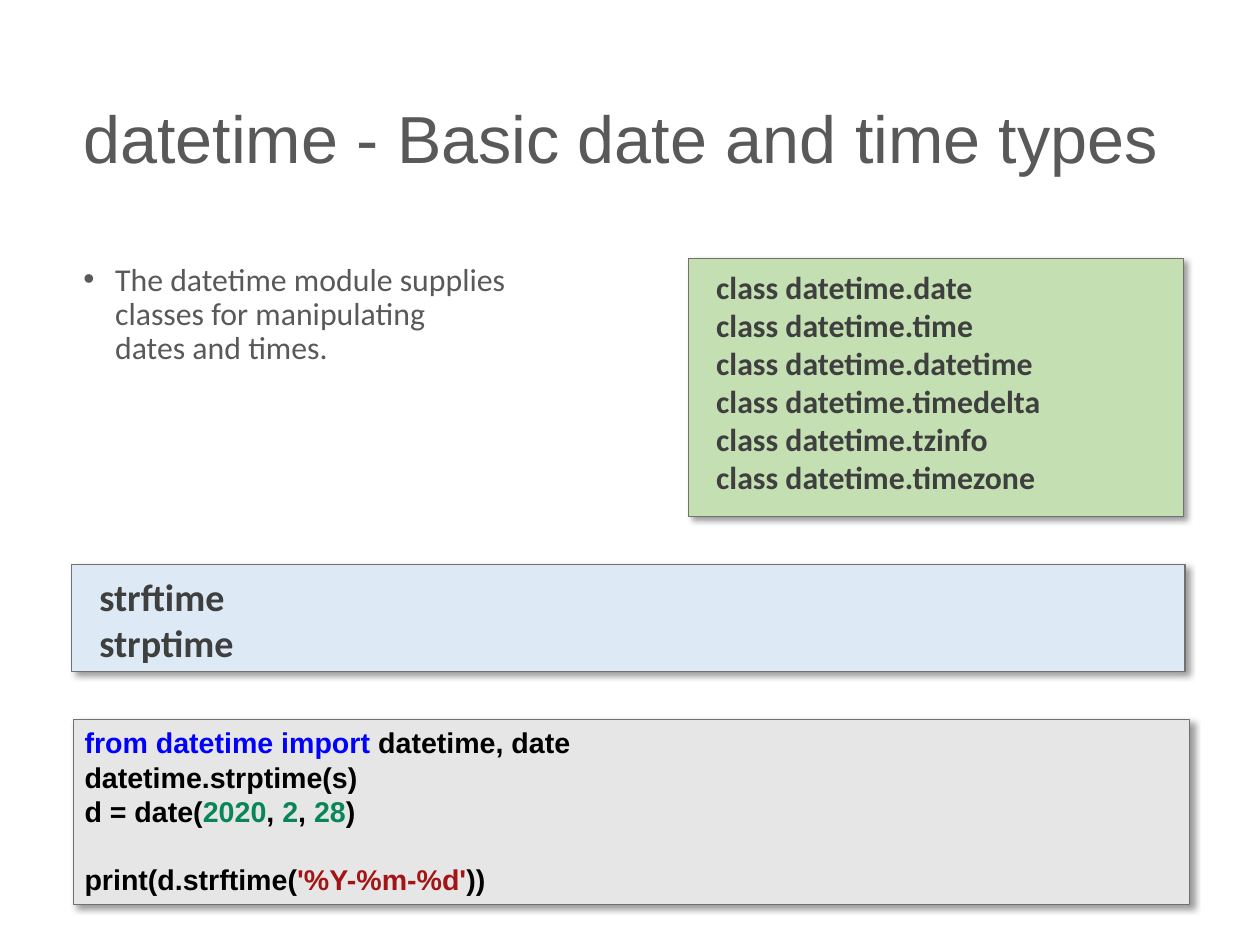
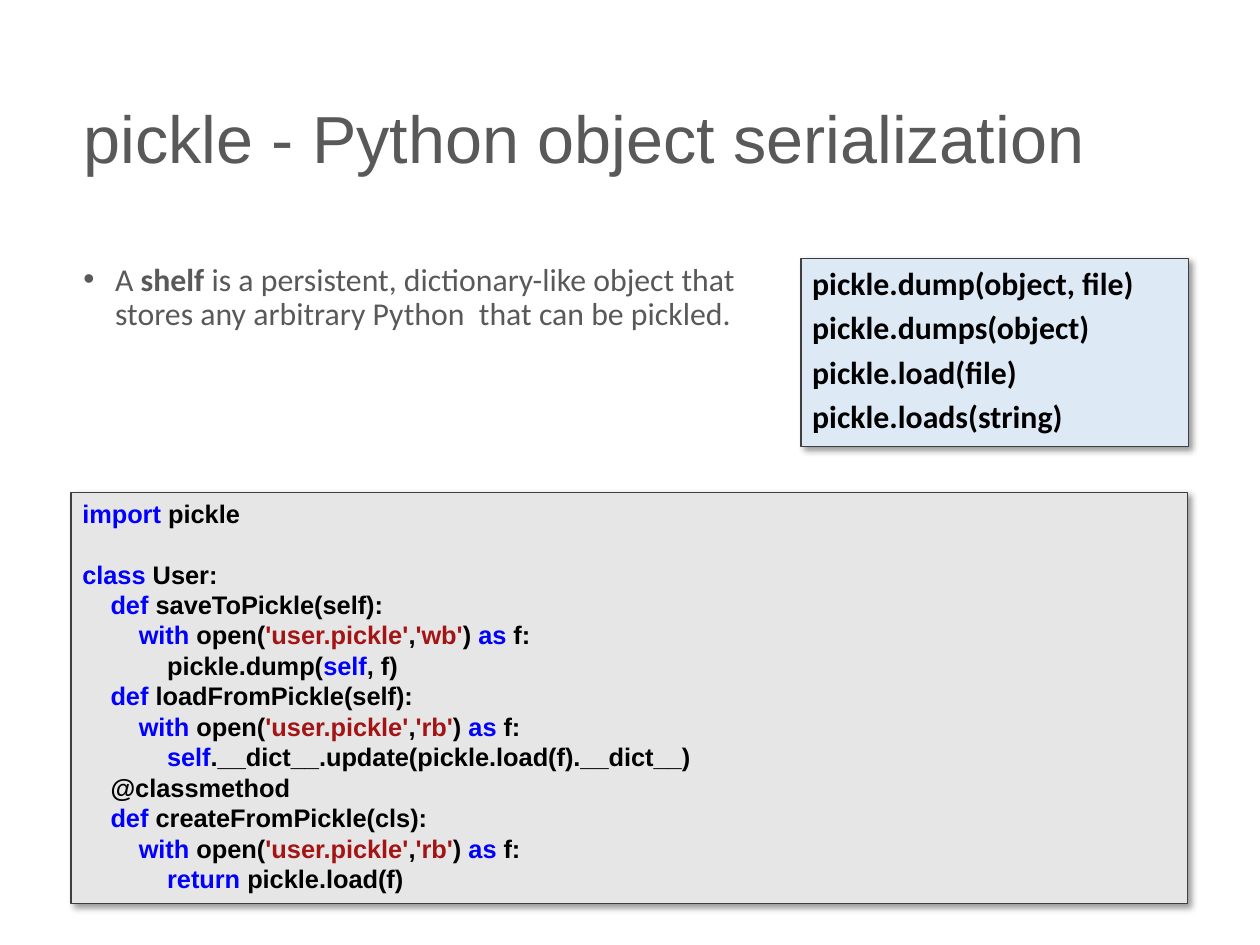
from lxml import etree
from pptx import Presentation
from pptx.dml.color import RGBColor
from pptx.enum.shapes import MSO_SHAPE
from pptx.enum.text import MSO_ANCHOR, MSO_AUTO_SIZE, PP_ALIGN
from pptx.oxml.ns import qn
from pptx.util import Pt

RECT = MSO_SHAPE.RECTANGLE
TOP, MIDDLE = MSO_ANCHOR.TOP, MSO_ANCHOR.MIDDLE
LEFT = PP_ALIGN.LEFT
NO_FIT = MSO_AUTO_SIZE.NONE

rgb = RGBColor.from_string
HEAD_FONT, BODY_FONT = "Arial", "Calibri"
GREY, DARK, BLACK = "595959", "3F3F3F", "000000"
KEYWORD, STRING, NUMBER = "0000FF", "A31515", "098658"
BLUE_FILL, GREEN_FILL, CODE_FILL = "DDEAF6", "C4E0B2", "E7E6E6"
BORDER = "757070"
MARGIN, CONTENT_TOP = 45.3, 162.6
CODE_INDENT = 17.8


def write_runs(p, runs, font, size):
    for text, color, bold in runs:
        for i, line in enumerate(text.split("\n")):
            if i:
                p.add_line_break()
            r = p.add_run()
            r.text = line
            r.font.name = font
            r.font.size = Pt(size)
            r.font.bold = bold
            r.font.color.rgb = rgb(color)


def add_box(slide, rect, fill, border, lines, font, size, inset=(7.2, 3.6)):
    sp = slide.shapes.add_shape(RECT, *[Pt(v) for v in rect])
    sp.fill.solid()
    sp.fill.fore_color.rgb = rgb(fill)
    sp.line.color.rgb = rgb(border)
    sp.line.width = Pt(0.75)
    sp.shadow.inherit = False
    effects = sp._element.spPr.find(qn("a:effectLst"))
    shadow = etree.SubElement(effects, qn("a:outerShdw"), blurRad=str(Pt(4)),
                              dist=str(Pt(3)), dir="2700000", algn="tl", rotWithShape="0")
    clr = etree.SubElement(shadow, qn("a:srgbClr"), val=BLACK)
    etree.SubElement(clr, qn("a:alpha"), val="40000")
    tf = sp.text_frame
    tf.word_wrap = True
    tf.auto_size = NO_FIT
    tf.vertical_anchor = TOP
    tf.margin_left, tf.margin_top = [Pt(v) for v in inset]
    for i, (level, gap, runs) in enumerate(lines):
        p = tf.add_paragraph() if i else tf.paragraphs[0]
        p.alignment = LEFT
        p.space_before = Pt(gap)
        p._p.get_or_add_pPr().set("marL", str(Pt(level * CODE_INDENT)))
        write_runs(p, [(text, color, True) for text, color in runs], font, size)


prs = Presentation()
prs.slide_width, prs.slide_height = Pt(793.75), Pt(595.25)

topics = [
    ("datetime - Basic date and time types", 702.7, 390.2,
     [("The datetime module supplies \nclasses for manipulating \ndates and times.", GREY, False)]),
    ("pickle - Python object serialization", 436.3, 338.4,
     [("A ", GREY, False), ("shelf", GREY, True),
      (" is a persistent, dictionary-like object that stores any arbitrary Python  that can be pickled.",
       GREY, False)]),
]
slides = []
for heading, width, height, bullet in topics:
    slide = prs.slides.add_slide(prs.slide_layouts[1])
    slides.append(slide)

    title = slide.shapes.title
    title.left, title.top, title.width, title.height = Pt(MARGIN), Pt(31.8), Pt(702.7), Pt(115.2)
    tf = title.text_frame
    tf.auto_size = NO_FIT
    tf.vertical_anchor = MIDDLE
    p = tf.paragraphs[0]
    p.alignment = LEFT
    p.line_spacing = 0.9
    write_runs(p, [(heading, GREY, False)], HEAD_FONT, 41.9)

    body = slide.placeholders[1]
    body.left, body.top, body.width, body.height = Pt(MARGIN), Pt(CONTENT_TOP), Pt(width), Pt(height)
    tf = body.text_frame
    tf.auto_size = NO_FIT
    p = tf.paragraphs[0]
    p.line_spacing = 0.9
    p.space_before = Pt(0)
    pPr = p._p.get_or_add_pPr()
    pPr.set("marL", str(Pt(20)))
    pPr.set("indent", str(Pt(-20)))
    write_runs(p, bullet, BODY_FONT, 20)

date_slide, pickle_slide = slides

functions = [(0, 0, [(name, DARK)]) for name in ("strftime", "strptime")]
add_box(date_slide, (MARGIN, 355.5, 701.3, 67.7), BLUE_FILL, BORDER, functions,
        BODY_FONT, 24, (17.3, 5.8))

date_code = [
    (0, 0, [("from datetime import", KEYWORD), (" datetime, date", BLACK)]),
    (0, 0, [("datetime.strptime(s)", BLACK)]),
    (0, 0, [("d = date(", BLACK), ("2020", NUMBER), (", ", BLACK), ("2", NUMBER),
            (", ", BLACK), ("28", NUMBER), (")", BLACK)]),
    (0, 21.2, [("print(d.strftime(", BLACK), ("'%Y-%m-%d'", STRING), ("))", BLACK)]),
]
add_box(date_slide, (46.2, 453.3, 703.4, 116.6), CODE_FILL, BORDER, date_code, HEAD_FONT, 18)

classes = [(0, 0, [("class datetime." + name, DARK)])
           for name in ("date", "time", "datetime", "timedelta", "tzinfo", "timezone")]
add_box(date_slide, (433.9, CONTENT_TOP, 311.8, 162.7), GREEN_FILL, BORDER, classes,
        BODY_FONT, 20, (17.3, 5.8))

open_write, open_read = [
    (2, 0, [("with", KEYWORD), (" open(", BLACK), ("'user.pickle'", STRING), (",", BLACK),
            (mode, STRING), (") ", BLACK), ("as", KEYWORD), (" f:", BLACK)])
    for mode in ("'wb'", "'rb'")
]
pickle_code = [
    (0, 0, [("import", KEYWORD), (" pickle", BLACK)]),
    (0, 19, [("class", KEYWORD), (" User:", BLACK)]),
    (1, 0, [("def", KEYWORD), (" saveToPickle(self):", BLACK)]),
    open_write,
    (3, 0, [("pickle.dump(", BLACK), ("self", KEYWORD), (", f)", BLACK)]),
    (1, 0, [("def", KEYWORD), (" loadFromPickle(self):", BLACK)]),
    open_read,
    (3, 0, [("self", KEYWORD), (".__dict__.update(pickle.load(f).__dict__)", BLACK)]),
    (1, 0, [("@classmethod", BLACK)]),
    (1, 0, [("def", KEYWORD), (" createFromPickle(cls):", BLACK)]),
    open_read,
    (3, 0, [("return", KEYWORD), (" pickle.load(f)", BLACK)]),
]
add_box(pickle_slide, (44.8, 310.2, 703.4, 259.2), CODE_FILL, DARK, pickle_code, HEAD_FONT, 16)

calls = [(0, 4 if i else 0, [("pickle." + call, BLACK)])
         for i, call in enumerate(("dump(object, file)", "dumps(object)", "load(file)", "loads(string)"))]
add_box(pickle_slide, (504.6, CONTENT_TOP, 244, 118.8), BLUE_FILL, DARK, calls, BODY_FONT, 20)

prs.save("out.pptx")
